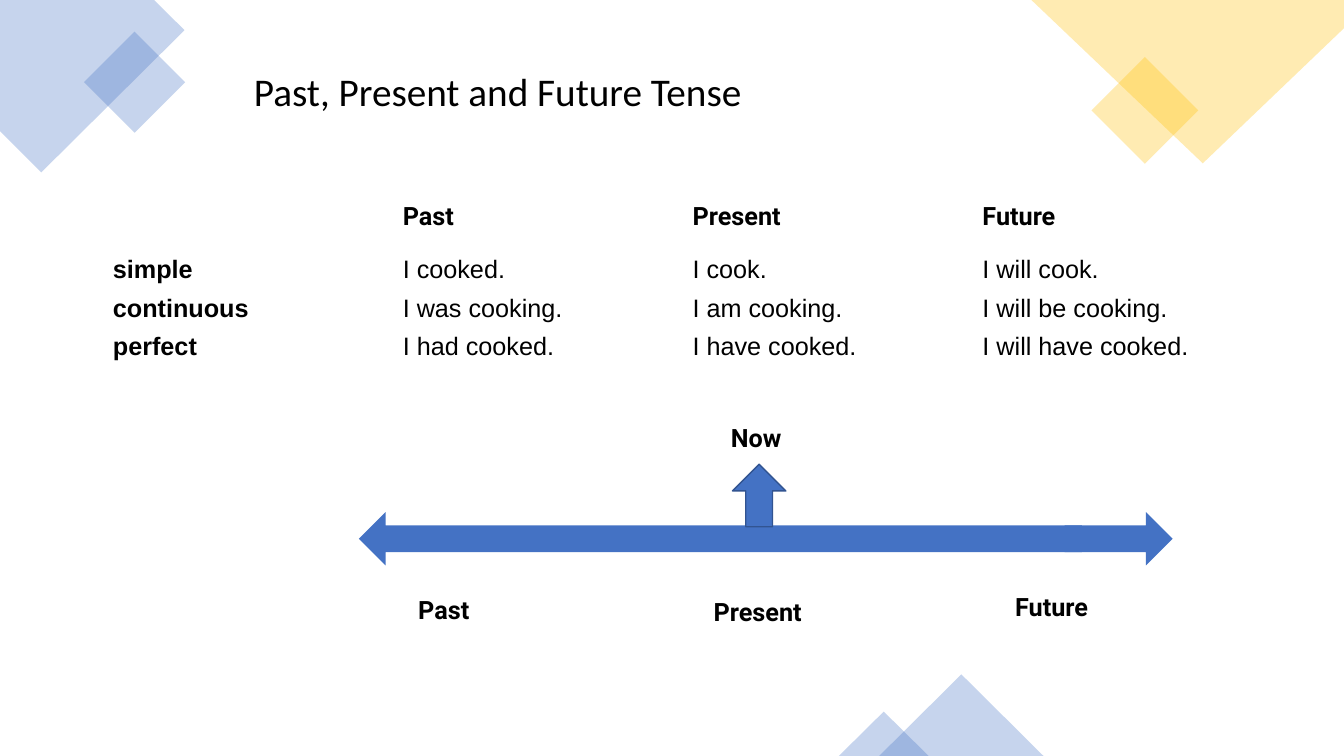
from lxml.etree import SubElement
from pptx import Presentation
from pptx.dml.color import RGBColor
from pptx.enum.shapes import MSO_SHAPE
from pptx.enum.text import MSO_ANCHOR, MSO_AUTO_SIZE
from pptx.oxml.ns import qn
from pptx.util import Inches, Pt

COLORS = {"blue": "4472C4", "gold": "FFC000", "outline": "325491", "text": "000000"}

prs = Presentation()
prs.slide_width, prs.slide_height = Inches(13.33), Inches(7.5)
slide = prs.slides.add_slide(prs.slide_layouts[6])
shapes = slide.shapes


def paint(shape, color, opacity=100):
    """Give a shape a flat fill, with opacity in percent, and no line or shadow."""
    shape.shadow.inherit = False
    shape.line.fill.background()
    shape.fill.solid()
    shape.fill.fore_color.rgb = RGBColor.from_string(COLORS[color])
    if opacity < 100:
        tint = shape.fill._xPr.find(f"{qn('a:solidFill')}/{qn('a:srgbClr')}")
        SubElement(tint, qn("a:alpha")).set("val", str(opacity * 1000))


def write(frame, text, font, size=18, bold=False):
    frame.text = text
    run_font = frame.paragraphs[0].runs[0].font
    run_font.name, run_font.size, run_font.bold = font, Pt(size), bold
    run_font.color.rgb = RGBColor.from_string(COLORS["text"])


# Corner decorations
corners = [
    ("blue", [(1.53, 0), (0, 0), (0, 1.3), (0.41, 1.71), (1.83, 0.3)]),
    ("gold", [(13.33, 0), (10.23, 0), (11.93, 1.62), (13.33, 0.28)]),
]
for color, outline in corners:
    points = [(Inches(x), Inches(y)) for x, y in outline]
    builder = shapes.build_freeform(*points[0])
    builder.add_line_segments(points[1:], close=True)
    paint(builder.convert_to_shape(), color, 30)

accents = [
    (MSO_SHAPE.RECTANGLE, 0.98, 0.46, 0.71, 0.71, 315, "blue"),
    (MSO_SHAPE.RECTANGLE, 10.98, 0.72, 0.75, 0.75, 315, "gold"),
    (MSO_SHAPE.ISOSCELES_TRIANGLE, 8.72, 6.69, 1.63, 0.81, 0, "blue"),
    (MSO_SHAPE.ISOSCELES_TRIANGLE, 8.32, 7.06, 0.89, 0.44, 0, "blue"),
]
for kind, left, top, width, height, angle, color in accents:
    accent = shapes.add_shape(kind, Inches(left), Inches(top), Inches(width), Inches(height))
    accent.rotation = angle
    paint(accent, color, 30)

# Tense table
tenses = [
    ["", "Past", "Present", "Future"],
    ["simple", "I cooked.", "I cook.", "I will cook."],
    ["continuous", "I was cooking.", "I am cooking.", "I will be cooking."],
    ["perfect", "I had cooked.", "I have cooked.", "I will have cooked."],
]
table = shapes.add_table(4, 4, Inches(1.02), Inches(1.82), Inches(11.5), Inches(1.81)).table
table.first_row = table.horz_banding = False
for r, sentences in enumerate(tenses):
    table.rows[r].height = Inches(0.38 if r else 0.67)
    for c, sentence in enumerate(sentences):
        cell = table.cell(r, c)
        cell.fill.background()
        cell.vertical_anchor = MSO_ANCHOR.MIDDLE
        cell.margin_top = cell.margin_bottom = Inches(0.04)
        if sentence:
            write(cell.text_frame, sentence, "Arial" if r else "Roboto", bold=r == 0 or c == 0)

# Timeline arrows: future, past, now
arrows = [(10.56, 5.08, 1.07, 0), (3.56, 5.08, 7.17, 180), (7.22, 4.65, 0.62, 270)]
for left, top, length, angle in arrows:
    arrow = shapes.add_shape(
        MSO_SHAPE.RIGHT_ARROW, Inches(left), Inches(top), Inches(length), Inches(0.53))
    arrow.rotation = angle
    paint(arrow, "blue")
now_arrow = arrow
now_arrow.line.color.rgb = RGBColor.from_string(COLORS["outline"])
now_arrow.line.width = Pt(1)

# Title and timeline labels
labels = [
    ("Past, Present and Future Tense", 2.42, 0.62, 6.08, 0.57, "Calibri", 28, False),
    ("Past", 4.05, 5.85, 0.94, 0.4, "Roboto", 18, True),
    ("Present", 6.98, 5.87, 1.5, 0.4, "Roboto", 18, True),
    ("Future", 9.97, 5.82, 1.11, 0.4, "Roboto", 18, True),
    ("Now", 7.15, 4.14, 0.78, 0.4, "Roboto", 18, True),
]
for text, left, top, width, height, font, size, bold in labels:
    label = shapes.add_textbox(Inches(left), Inches(top), Inches(width), Inches(height))
    label.text_frame.word_wrap = True
    label.text_frame.auto_size = MSO_AUTO_SIZE.SHAPE_TO_FIT_TEXT
    write(label.text_frame, text, font, size, bold)

prs.save("out.pptx")
